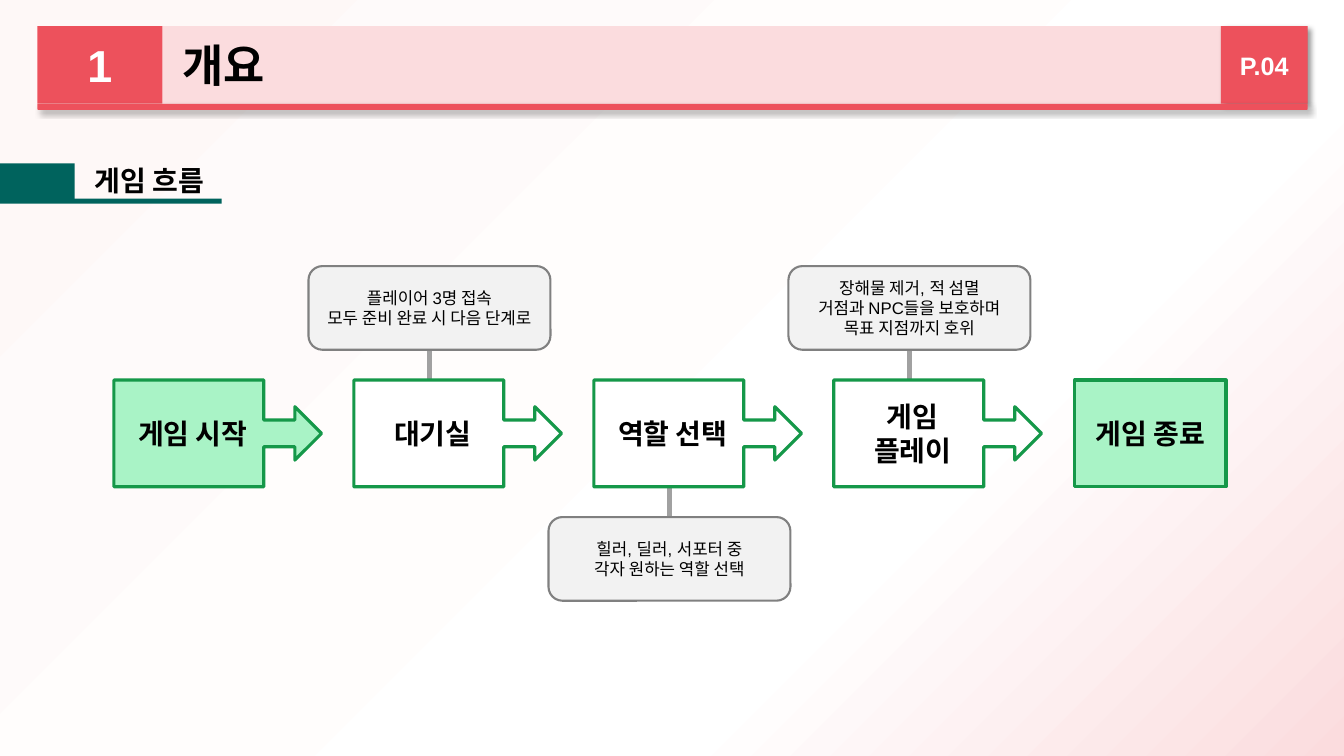
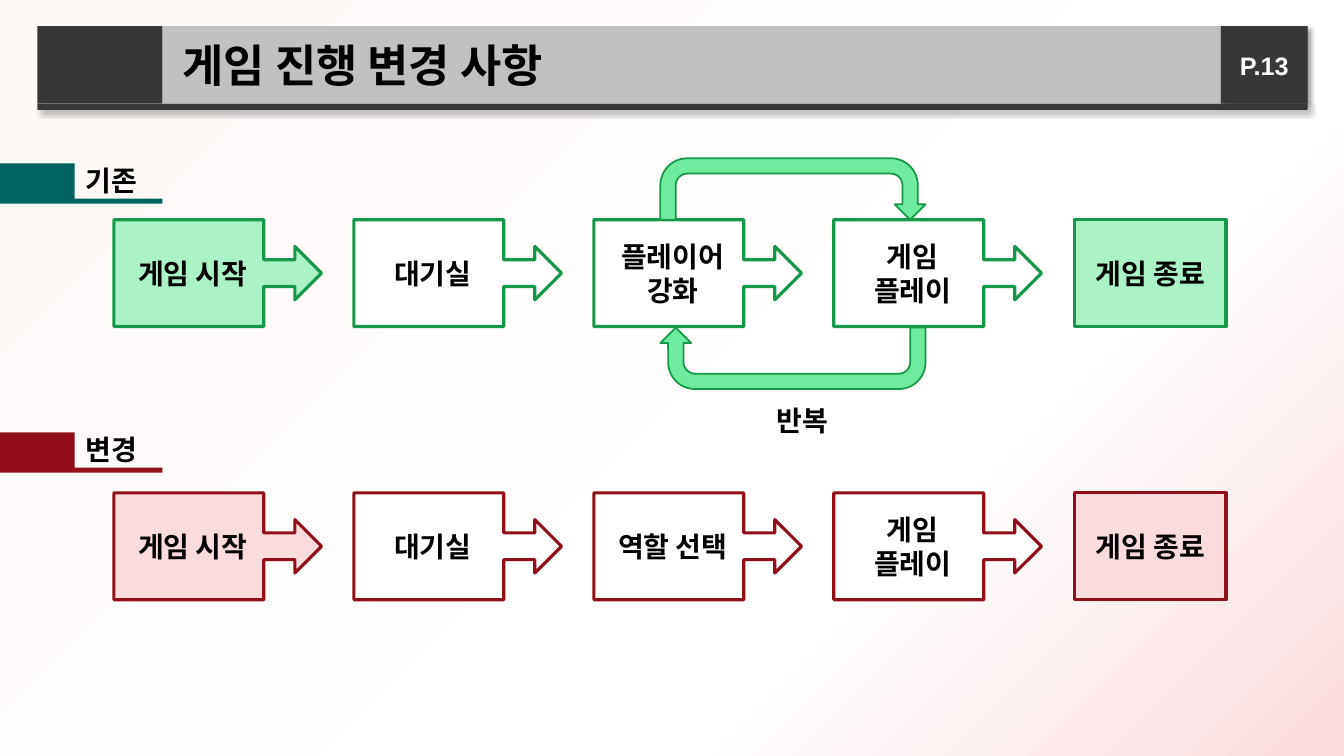
from copy import deepcopy

from lxml.etree import SubElement
from pptx import Presentation
from pptx.dml.color import RGBColor
from pptx.enum.shapes import MSO_CONNECTOR as Connector, MSO_SHAPE as Shape
from pptx.enum.text import MSO_ANCHOR as Anchor, MSO_AUTO_SIZE as AutoSize, PP_ALIGN as Align
from pptx.oxml.ns import qn
from pptx.util import Emu, Pt

PX = 9144
FONT = "Arial"
BLACK, WHITE = "000000", "FFFFFF"
TEAL, DARK_RED = "00635D", "900F18"
ROSE, GREEN_LINE = "FBDCDE", "159849"
GREEN_FLOW = {"accent": "A9F3C6", "line": GREEN_LINE}
RED_FLOW = {"accent": ROSE, "line": DARK_RED}
RED_BAND = {"strong": "ED515C", "soft": ROSE}
GRAY_BAND = {"strong": "373737", "soft": "C1C1C1"}
BACKGROUND = [(0, "FEF8F7"), (0.68, WHITE), (1, ROSE)]

STEP_PITCH, STEP_WIDTH, STEP_HEIGHT = 238, 206, 106
STEP_BODY = 150
STEP_ADJUST = [0.25, 0.25, 0.25, 0.722]
LOOP_ADJUST = [0.25, 0.25, 0.25, 0.438, 1]
NOTE_WIDTH, NOTE_HEIGHT, NOTE_GAP = 240, 83, 30


def px(*lengths):
    return [Emu(length * PX) for length in lengths]


def rgb(colour):
    return RGBColor.from_string(colour)


def set_all(target, values):
    for name, value in values.items():
        setattr(target, name, value)


def write(shape, lines, size, colour=BLACK, bold=True, align=Align.CENTER, left=0):
    frame = shape.text_frame
    set_all(frame, {
        "text": "\n".join(lines), "word_wrap": True, "auto_size": AutoSize.NONE,
        "vertical_anchor": Anchor.MIDDLE, "margin_left": Emu(left * PX),
        "margin_right": 0, "margin_top": 0, "margin_bottom": 0,
    })
    for para in frame.paragraphs:
        para.alignment = align
        for span in para.runs:
            set_all(span.font, {"name": FONT, "size": Pt(size), "bold": bold})
            span.font.color.rgb = rgb(colour)


def add_text(page, box, text, size):
    write(page.shapes.add_textbox(*px(*box)), [text], size)


def paint(shape, colour):
    shape.fill.solid()
    shape.fill.fore_color.rgb = rgb(colour)


def add_shape(page, kind, box, fill, line=None, width=2.25, adjust=()):
    shape = page.shapes.add_shape(kind, *px(*box))
    shape.shadow.inherit = False
    paint(shape, fill)
    if line:
        shape.line.color.rgb = rgb(line)
        shape.line.width = Pt(width)
    else:
        shape.line.fill.background()
    for index, value in enumerate(adjust):
        shape.adjustments[index] = value
    return shape


def add_shadow(shape):
    effects = shape.element.spPr.find(qn("a:effectLst"))
    shadow = SubElement(effects, qn("a:outerShdw"), blurRad=str(Pt(4)), dist=str(Pt(3)),
                        dir="2700000", algn="tl", rotWithShape="0")
    colour = SubElement(shadow, qn("a:srgbClr"), val=BLACK)
    SubElement(colour, qn("a:alpha"), val="40000")


def add_stem(page, x, top, bottom):
    stem = page.shapes.add_connector(Connector.STRAIGHT, *px(x, top, x, bottom))
    stem.line.color.rgb = rgb("A1A1A1")
    stem.line.width = Pt(3)
    SubElement(stem.element.spPr, qn("a:effectLst"))


def set_background(deck):
    master = deck.slide_master
    fill = master.background.fill
    fill.gradient()
    fill.gradient_angle = 315
    stops = master.element.find(".//" + qn("a:gsLst"))
    stops.append(deepcopy(stops[-1]))
    for stop, (position, colour) in zip(fill.gradient_stops, BACKGROUND):
        stop.position = position
        stop.color.rgb = rgb(colour)


def add_page(deck, title, page_number, band, chapter=None):
    page = deck.slides.add_slide(deck.slide_layouts[5])
    left, top, width, height = 37, 26, 1260, 77
    chapter_width, number_width = 124, 86
    heading = page.shapes.title
    box = px(left + chapter_width, top, width - chapter_width, height)
    set_all(heading, dict(zip(("left", "top", "width", "height"), box)))
    paint(heading, band["soft"])
    write(heading, [title], 32, align=Align.LEFT, left=20)
    number_box = (left + width - number_width, top, number_width, height)
    number = add_shape(page, Shape.RECTANGLE, number_box, band["strong"])
    add_shadow(number)
    write(number, [page_number], 18, WHITE)
    tab = add_shape(page, Shape.RECTANGLE, (left, top, chapter_width, height), band["strong"])
    if chapter:
        write(tab, [chapter], 32, WHITE)
    rule_box = (left, top + height, width, 6)
    add_shadow(add_shape(page, Shape.ROUNDED_RECTANGLE, rule_box, band["strong"]))
    return page


def add_section(page, top, text, text_width, rule_width, colour):
    add_text(page, (61, top - 5, text_width, 44), text, 20)
    add_shape(page, Shape.RECTANGLE, (0, top, 74, 38), colour)
    add_shape(page, Shape.RECTANGLE, (0, top + 35, rule_width, 5), colour)


def step_left(index):
    return 113 + index * STEP_PITCH


def add_flow(page, top, steps, style):
    last = len(steps) - 1
    for index, lines in enumerate(steps):
        fill = style["accent"] if index in (0, last) else WHITE
        if index == last:
            box = (step_left(index) + 1, top, STEP_BODY, STEP_HEIGHT)
            step = add_shape(page, Shape.RECTANGLE, box, fill, style["line"])
            write(step, lines, 20)
        else:
            box = (step_left(index), top, STEP_WIDTH, STEP_HEIGHT)
            step = add_shape(page, Shape.RIGHT_ARROW_CALLOUT, box, fill, style["line"],
                             adjust=STEP_ADJUST)
            write(step, lines, 20, left=8)


def add_note(page, flow_top, index, lines, below=False):
    center = step_left(index) + STEP_BODY // 2
    if below:
        edge = flow_top + STEP_HEIGHT
        top = edge + NOTE_GAP
        add_stem(page, center, edge, top)
    else:
        top = flow_top - NOTE_GAP - NOTE_HEIGHT
        add_stem(page, center, top + NOTE_HEIGHT, flow_top)
    box = (center - NOTE_WIDTH // 2, top, NOTE_WIDTH, NOTE_HEIGHT)
    note = add_shape(page, Shape.ROUNDED_RECTANGLE, box, "F2F2F2", "808080", 1.5)
    write(note, lines, 12, bold=False)


def add_loop(page, flow_top, text):
    left, width, height = 655, 263, 61
    bottom = flow_top + STEP_HEIGHT + 1
    for top, rotation in ((flow_top - height, 0), (bottom, 180)):
        arrow = add_shape(page, Shape.U_TURN_ARROW, (left, top, width, height), "6FEBA0",
                          GREEN_LINE, 1.25, LOOP_ADJUST)
        arrow.rotation = rotation
    add_text(page, (756, bottom + height + 9, 79, 44), text, 20)


def main():
    deck = Presentation()
    deck.slide_width, deck.slide_height = px(1333, 750)
    set_background(deck)

    start, lobby, role = ["게임 시작"], ["대기실"], ["역할 선택"]
    play, end = ["게임", "플레이"], ["게임 종료"]
    new_flow = [start, lobby, role, play, end]
    old_flow = [start, lobby, ["플레이어", "강화"], play, end]

    overview = add_page(deck, "개요", "P.04", RED_BAND, "1")
    add_section(overview, 162, "게임 흐름", 174, 220, TEAL)
    flow_top = 377
    add_note(overview, flow_top, 1, ["플레이어 3명 접속", "모두 준비 완료 시 다음 단계로"])
    add_note(overview, flow_top, 2, ["힐러, 딜러, 서포터 중", "각자 원하는 역할 선택"], below=True)
    add_note(overview, flow_top, 3,
             ["장해물 제거, 적 섬멸", "거점과 NPC들을 보호하며", "목표 지점까지 호위"])
    add_flow(overview, flow_top, new_flow, GREEN_FLOW)

    changes = add_page(deck, "게임 진행 변경 사항", "P.13", GRAY_BAND)
    add_flow(changes, 218, old_flow, GREEN_FLOW)
    add_loop(changes, 218, "반복")
    add_flow(changes, 489, new_flow, RED_FLOW)
    add_section(changes, 162, "기존", 99, 161, TEAL)
    add_section(changes, 429, "변경", 99, 161, DARK_RED)

    deck.save("out.pptx")


if __name__ == "__main__":
    main()
